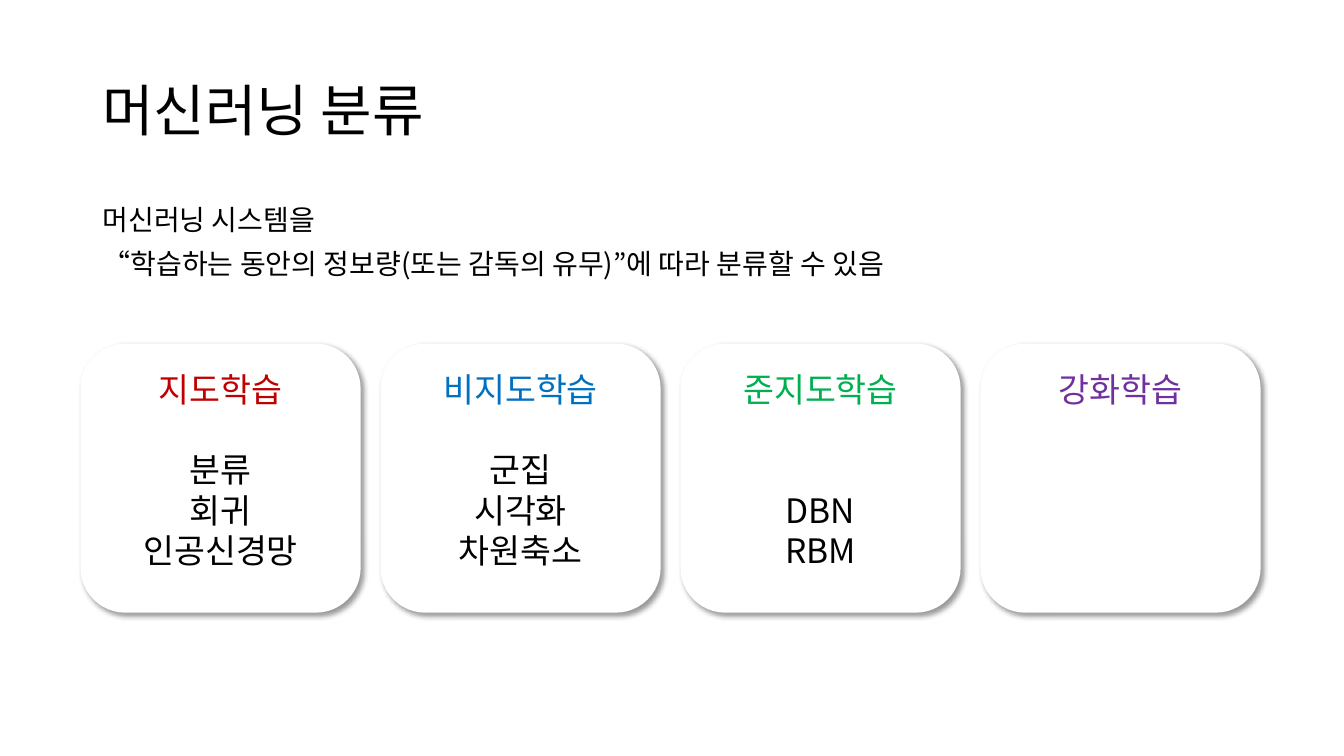
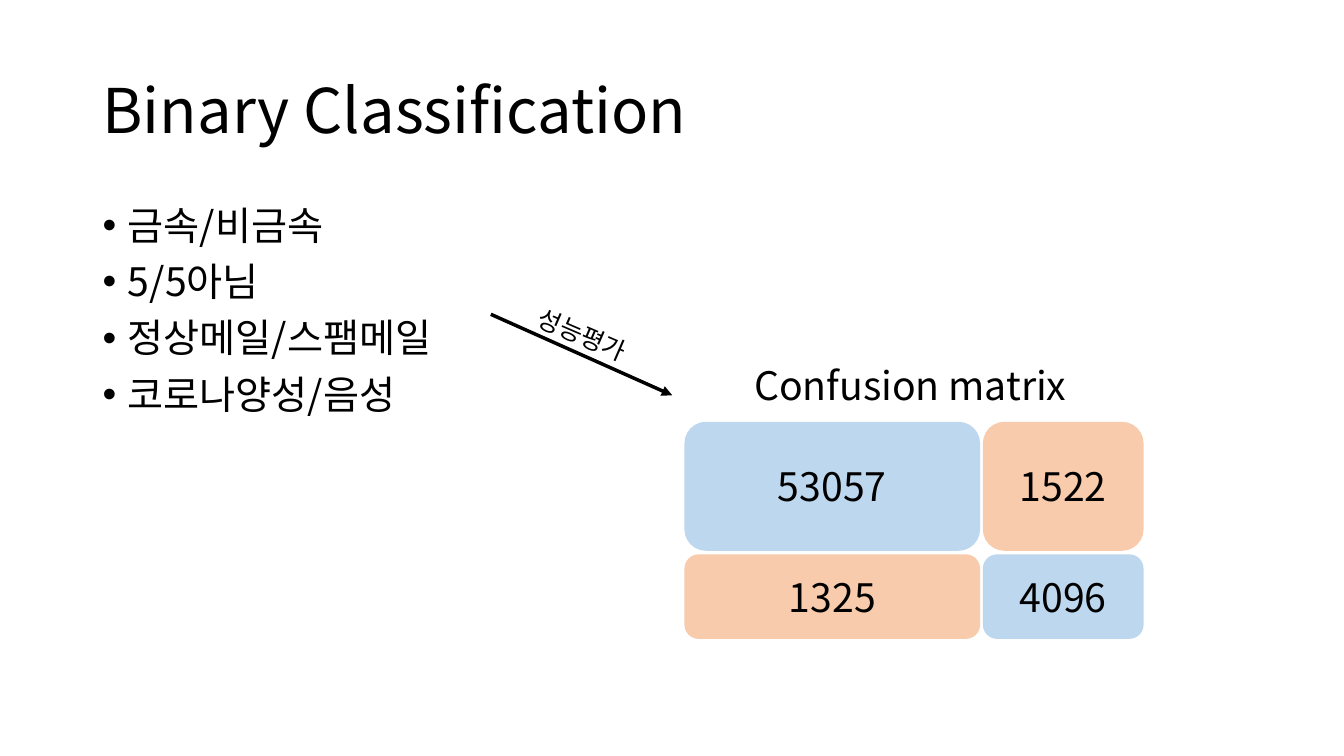
"""Two slides on kinds of machine learning and on binary classification."""
import pptx
import pptx.dml.color
import pptx.enum.shapes
import pptx.enum.text
import pptx.oxml
import pptx.oxml.ns
import pptx.util
from lxml import etree

Cm = pptx.util.Cm
Pt = pptx.util.Pt
qn = pptx.oxml.ns.qn
ALIGN = pptx.enum.text.PP_ALIGN
ANCHOR = pptx.enum.text.MSO_ANCHOR
ROUNDED = pptx.enum.shapes.MSO_SHAPE.ROUNDED_RECTANGLE
FONT = "Noto Sans CJK KR"
COLOURS = {
    "text": "000000",
    "card": "FFFFFF",
    "supervised": "C00000",
    "unsupervised": "0070C0",
    "semisupervised": "00B050",
    "reinforcement": "7030A0",
    "correct": "BDD7EE",
    "wrong": "F8CBAD",
}
CARD_LINE = 28.8


def style(paragraph, size, colour="text", align=ALIGN.LEFT):
    """Set the font, size, colour and alignment of a paragraph."""
    paragraph.alignment = align
    paragraph.font.name = FONT
    paragraph.font.size = Pt(size)
    paragraph.font.color.rgb = pptx.dml.color.RGBColor.from_string(COLOURS[colour])
    default_run = paragraph._p.pPr.find(qn("a:defRPr"))
    etree.SubElement(default_run, qn("a:ea"), typeface=FONT)


def add_rounded(slide, left, top, width, height, colour):
    """Add a plain rounded rectangle without line or shadow."""
    box = slide.shapes.add_shape(ROUNDED, Cm(left), Cm(top), Cm(width), Cm(height))
    box.shadow.inherit = False
    box.fill.solid()
    box.fill.fore_color.rgb = pptx.dml.color.RGBColor.from_string(COLOURS[colour])
    box.line.fill.background()
    return box


presentation = pptx.Presentation()
presentation.slide_width = Cm(33.87)
presentation.slide_height = Cm(19.05)

pages = [
    ("머신러닝 분류", 40, 2.92, 20, False,
     ["머신러닝 시스템을", "“학습하는 동안의 정보량(또는 감독의 유무)”에 따라 분류할 수 있음"]),
    ("Binary Classification", 44, 12.09, 28, True,
     ["금속/비금속", "5/5아님", "정상메일/스팸메일", "코로나양성/음성"]),
]
slides = []
for heading, heading_size, body_height, body_size, bulleted, lines in pages:
    slide = presentation.slides.add_slide(presentation.slide_layouts[1])
    slides.append(slide)
    title = slide.shapes.title
    title.left, title.top, title.width, title.height = Cm(2.33), Cm(1.01), Cm(29.21), Cm(3.68)
    title.text_frame.text = heading
    title.text_frame.vertical_anchor = ANCHOR.MIDDLE
    title.text_frame.auto_size = pptx.enum.text.MSO_AUTO_SIZE.NONE
    title.text_frame.paragraphs[0].line_spacing = 0.9
    style(title.text_frame.paragraphs[0], heading_size)

    body = slide.placeholders[1]
    body.left, body.top, body.width, body.height = Cm(2.33), Cm(5.07), Cm(29.21), Cm(body_height)
    body.text_frame.text = "\n".join(lines)
    body.text_frame.auto_size = pptx.enum.text.MSO_AUTO_SIZE.NONE
    for index, paragraph in enumerate(body.text_frame.paragraphs):
        paragraph.line_spacing = 0.9
        paragraph.space_before = Pt(10 if index else 0)
        properties = paragraph._p.get_or_add_pPr()
        indent = Cm(0.64) if bulleted else 0
        properties.set("marL", str(indent))
        properties.set("indent", str(-indent))
        if bulleted:
            etree.SubElement(properties, qn("a:buFont"), typeface="Arial")
            etree.SubElement(properties, qn("a:buChar"), char="•")
        else:
            etree.SubElement(properties, qn("a:buNone"))
        style(paragraph, body_size)

kinds_slide, binary_slide = slides

kinds = [
    ("지도학습", "supervised", ["분류", "회귀", "인공신경망"]),
    ("비지도학습", "unsupervised", ["군집", "시각화", "차원축소"]),
    ("준지도학습", "semisupervised", ["DBN", "RBM"]),
    ("강화학습", "reinforcement", []),
]
for column, (kind, colour, methods) in enumerate(kinds):
    card = add_rounded(kinds_slide, 2.03 + 7.56 * column, 8.66, 7.06, 6.78, "card")
    effects = card._element.spPr.find(qn("a:effectLst"))
    shadow = etree.SubElement(effects, qn("a:outerShdw"), blurRad=str(Pt(4)), dist=str(Pt(3)),
                              dir="2700000", algn="tl", rotWithShape="0")
    shade = etree.SubElement(shadow, qn("a:srgbClr"), val=COLOURS["text"])
    etree.SubElement(shade, qn("a:alpha"), val="40000")
    frame = card.text_frame
    frame.vertical_anchor = ANCHOR.TOP
    frame.margin_top = Cm(0.3)
    frame.text = "\n".join([kind] + methods)
    for index, paragraph in enumerate(frame.paragraphs):
        if index == 1:
            paragraph.space_before = Pt(CARD_LINE * (4 - len(methods)))
        style(paragraph, 24, "text" if index else colour, ALIGN.CENTER)

caption = binary_slide.shapes.add_textbox(Cm(17.25), Cm(8.99), Cm(11.38), Cm(1.45))
caption.text_frame.word_wrap = True
caption.text_frame.text = "Confusion matrix"
style(caption.text_frame.paragraphs[0], 28, align=ALIGN.CENTER)

matrix = [["53057", "1522"], ["1325", "4096"]]
matrix_columns = [(17.25, 7.45), (24.77, 4.05)]
matrix_rows = [(10.63, 3.25), (13.97, 2.13)]
for row, (top, height) in enumerate(matrix_rows):
    for column, (left, width) in enumerate(matrix_columns):
        outcome = "correct" if row == column else "wrong"
        cell = add_rounded(binary_slide, left, top, width, height, outcome)
        cell.text_frame.vertical_anchor = ANCHOR.MIDDLE
        cell.text_frame.text = matrix[row][column]
        style(cell.text_frame.paragraphs[0], 28, align=ALIGN.CENTER)

arrow = binary_slide.shapes.add_connector(
    pptx.enum.shapes.MSO_CONNECTOR.STRAIGHT, Cm(12.37), Cm(7.92), Cm(16.94), Cm(9.96))
arrow.line.color.rgb = pptx.dml.color.RGBColor.from_string(COLOURS["text"])
arrow.line.width = Pt(2.5)
etree.SubElement(arrow.line._get_or_add_ln(), qn("a:tailEnd"), type="triangle")
etree.SubElement(arrow._element.spPr, qn("a:effectLst"))

evaluation = binary_slide.shapes.add_textbox(Cm(13.23), Cm(8.05), Cm(3.48), Cm(1.02))
evaluation.rotation = 23.4
evaluation.text_frame.word_wrap = True
evaluation.text_frame.text = "성능평가"
style(evaluation.text_frame.paragraphs[0], 18)

presentation.save("out.pptx")
